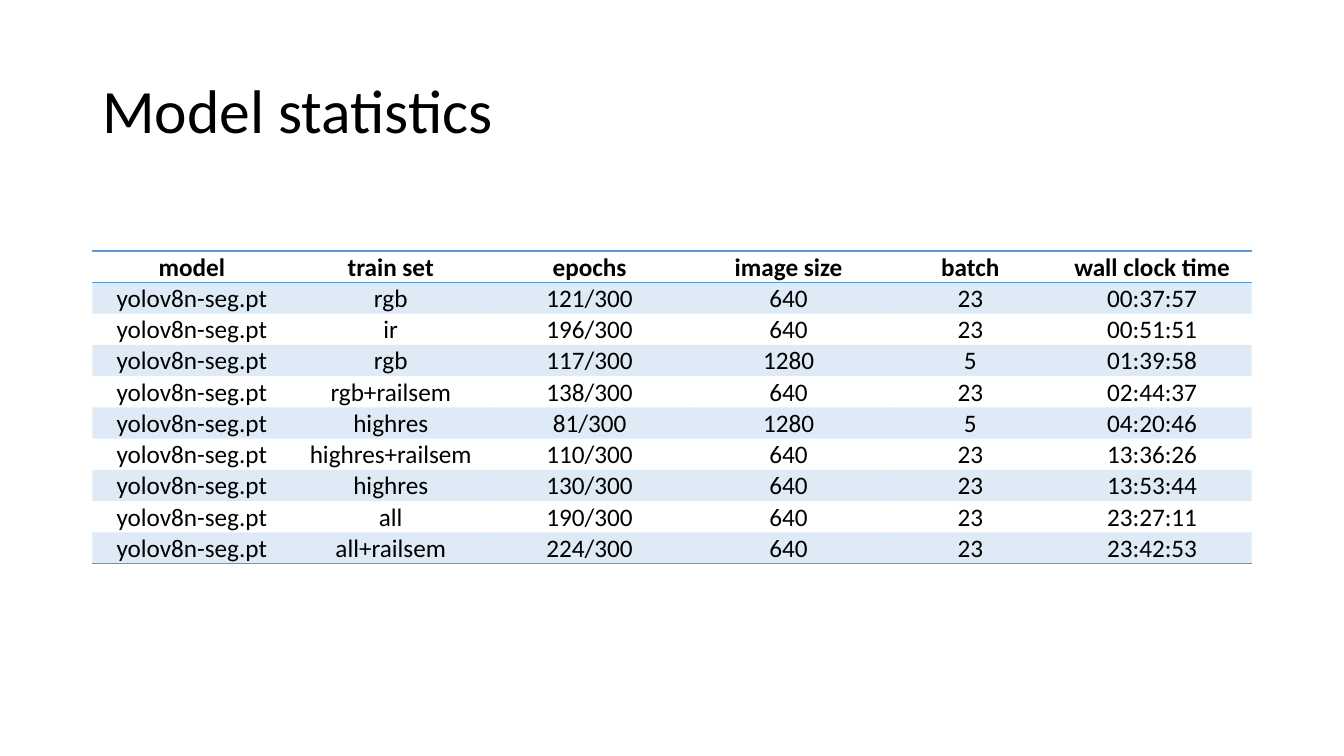
from dataclasses import astuple, dataclass

from lxml import etree
from pptx import Presentation, util as u
from pptx.dml.color import RGBColor
from pptx.enum import text
from pptx.oxml import ns

COLORS = {"ink": "000000", "accent": "5B9BD5"}
FONT = "Calibri"
NO_STYLE = "{2D5ABB26-0587-4C30-8999-92F81FD0307C}"
BAND_ALPHA = 20

# Slide grid: 160 columns by 750 rows
WIDTH, HEIGHT = u.Inches(13.333), u.Inches(7.5)
GRID_COLS, GRID_ROWS = 160, 750


def across(columns: float) -> int:
    return round(WIDTH * columns / GRID_COLS)


def down(rows: float) -> int:
    return round(HEIGHT * rows / GRID_ROWS)


@dataclass
class Area:
    left: float
    top: float
    width: float
    height: float

    def box(self) -> tuple[int, int, int, int]:
        return across(self.left), down(self.top), across(self.width), down(self.height)


@dataclass
class Training:
    train_set: str
    epochs: int
    image_size: int
    batch: int
    wall_clock: str
    model: str = "yolov8n-seg.pt"

    def values(self) -> list[str]:
        train_set, epochs, image_size, batch, wall_clock, model = astuple(self)
        return [model, train_set, f"{epochs}/300", str(image_size), str(batch), wall_clock]


TITLE_AREA = Area(11, 40, 138, 145)
STATISTICS_AREA = Area(11, 249, 138, 308)
HEADINGS = {"model": 23.68, "train set": 23.68, "epochs": 23.68,
            "image size": 23.68, "batch": 19.6, "wall clock time": 23.68}
TRAININGS = [
    Training("rgb", 121, 640, 23, "00:37:57"),
    Training("ir", 196, 640, 23, "00:51:51"),
    Training("rgb", 117, 1280, 5, "01:39:58"),
    Training("rgb+railsem", 138, 640, 23, "02:44:37"),
    Training("highres", 81, 1280, 5, "04:20:46"),
    Training("highres+railsem", 110, 640, 23, "13:36:26"),
    Training("highres", 130, 640, 23, "13:53:44"),
    Training("all", 190, 640, 23, "23:27:11"),
    Training("all+railsem", 224, 640, 23, "23:42:53"),
]


def write(frame, words: str, size: float, bold: bool = False):
    frame.text = words
    paragraph = frame.paragraphs[0]
    font = paragraph.runs[0].font
    font.name, font.size, font.bold = FONT, u.Pt(size), bold
    font.color.rgb = RGBColor.from_string(COLORS["ink"])
    return paragraph


def add_color(parent, color: str):
    solid = etree.SubElement(parent, ns.qn("a:solidFill"))
    return etree.SubElement(solid, ns.qn("a:srgbClr"), val=color)


def rule_cell(cell, sides: str) -> None:
    """Rule the given sides, T for top and B for bottom; borders precede the fill."""
    properties = cell._tc.get_or_add_tcPr()
    for position, side in enumerate(sides):
        line = etree.Element(ns.qn(f"a:ln{side}"), w=str(u.Pt(1)))
        add_color(line, COLORS["accent"])
        properties.insert(position, line)


def fill_cell(cell, banded: bool) -> None:
    if not banded:
        cell.fill.background()
        return
    cell.fill.solid()
    cell.fill.fore_color.rgb = RGBColor.from_string(COLORS["accent"])
    color = cell._tc.tcPr.find(".//" + ns.qn("a:srgbClr"))
    etree.SubElement(color, ns.qn("a:alpha"), val=str(BAND_ALPHA * 1000))


def add_title(slide, words: str) -> None:
    frame = slide.shapes.add_textbox(*TITLE_AREA.box()).text_frame
    frame.word_wrap = True
    frame.vertical_anchor = text.MSO_ANCHOR.MIDDLE
    write(frame, words, 44).line_spacing = 0.9


def add_statistics(slide) -> None:
    lines = [list(HEADINGS)] + [training.values() for training in TRAININGS]
    last = len(lines) - 1
    table = slide.shapes.add_table(len(lines), len(HEADINGS), *STATISTICS_AREA.box()).table
    table.first_row = table.horz_banding = False
    table._tbl.tblPr.find(ns.qn("a:tableStyleId")).text = NO_STYLE
    for column, width in zip(table.columns, HEADINGS.values()):
        column.width = across(width)

    for row, values in enumerate(lines):
        for column, value in enumerate(values):
            cell = table.cell(row, column)
            cell.margin_left = cell.margin_right = cell.margin_top = u.Inches(0.01)
            cell.margin_bottom = 0
            cell.vertical_anchor = text.MSO_ANCHOR.MIDDLE
            paragraph = write(cell.text_frame, value, 18, bold=row == 0)
            paragraph.alignment = text.PP_ALIGN.CENTER
            fill_cell(cell, banded=row % 2 == 1)
            rule_cell(cell, {0: "TB", last: "B"}.get(row, ""))


def main() -> None:
    deck = Presentation()
    deck.slide_width, deck.slide_height = WIDTH, HEIGHT
    slide = deck.slides.add_slide(deck.slide_layouts[6])
    add_title(slide, "Model statistics")
    add_statistics(slide)
    deck.save("out.pptx")


if __name__ == "__main__":
    main()
